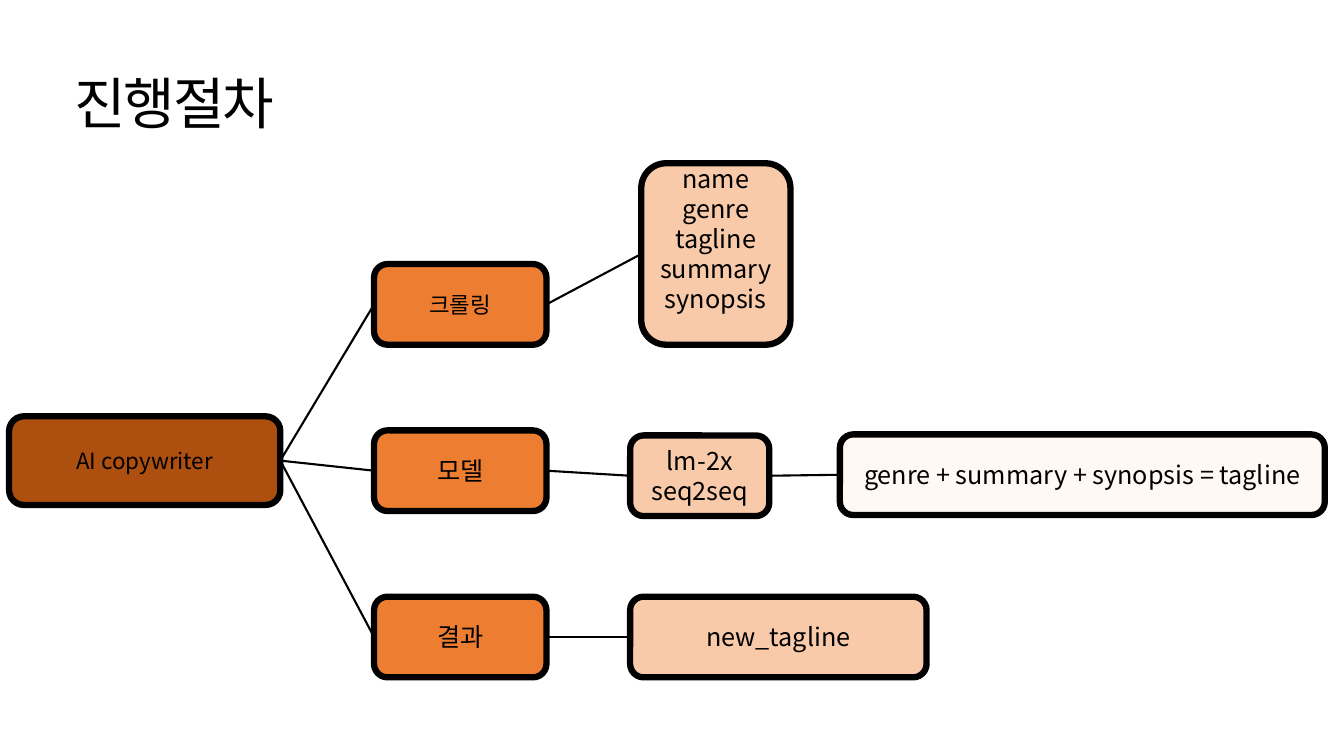
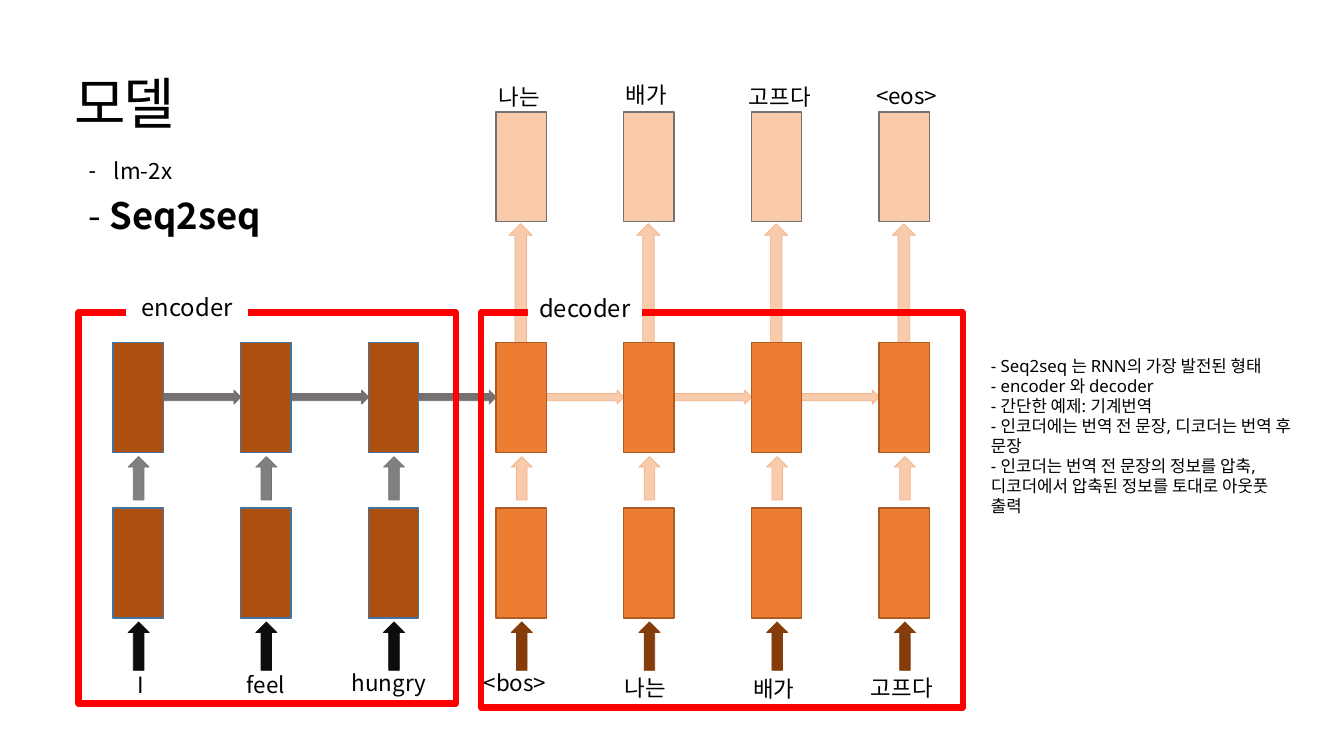
from lxml.etree import SubElement
from pptx import Presentation
from pptx.dml.color import RGBColor
from pptx.enum.shapes import MSO_CONNECTOR, MSO_SHAPE
from pptx.enum.text import MSO_ANCHOR, MSO_AUTO_SIZE, PP_ALIGN
from pptx.oxml.ns import qn
from pptx.util import Inches, Pt

HUES = {
    "black": "000000", "white": "FFFFFF", "red": "FF0000",
    "brown": "AD4F0F", "orange": "ED7D31", "peach": "F8CAAA", "cream": "FFF8F4",
    "blue": "43739E", "rust": "AF5C24", "grey": "767171", "mist": "808080",
    "ink": "0D0D0D", "umber": "843C0B", "skin": "F8CBAD", "tan": "F4B183",
}
RGB = {name: RGBColor.from_string(code) for name, code in HUES.items()}
SANS, CJK = "Noto Sans", "Noto Sans CJK KR"


def style(frame, size, font=CJK, align=PP_ALIGN.LEFT, lead=1.19):
    """Format all text in a frame; lead is the line pitch per point of size."""
    frame.word_wrap = True
    for para in frame.paragraphs:
        para.alignment = align
        para.line_spacing = Pt(round(size * lead, 1))
        for run in para.runs:
            run.font.size = Pt(size)
            run.font.name = font
            run.font.color.rgb = RGB["black"]
            SubElement(run.font._element, qn("a:ea"), typeface=CJK)


def draw(slide, kind, box, fill, line, width=1.0):
    shape = slide.shapes.add_shape(kind, *map(Inches, box))
    shape.shadow.inherit = False
    if fill:
        shape.fill.solid()
        shape.fill.fore_color.rgb = RGB[fill]
    else:
        shape.fill.background()
    shape.line.color.rgb = RGB[line]
    shape.line.width = Pt(width)
    return shape


deck = Presentation()
deck.slide_width, deck.slide_height = Inches(13.33), Inches(7.5)

# Both slides with their titles
slides = []
for layout, text, width in [(5, "진행절차", 11.5), (1, "모델", 4.53)]:
    slide = deck.slides.add_slide(deck.slide_layouts[layout])
    title = slide.shapes.title
    title.left, title.top = Inches(0.64), Inches(0.32)
    title.width, title.height = Inches(width), Inches(1.45)
    frame = title.text_frame
    frame.text = text
    frame.vertical_anchor = MSO_ANCHOR.MIDDLE
    style(frame, 40, SANS, lead=1.07)
    frame.paragraphs[0].runs[0].font._element.set("spc", "-150")
    slides.append(slide)
flow, model = slides

# Process tree
nodes = {
    "root": ("AI copywriter", (0.09, 4.13, 2.69, 0.88), "brown", 16),
    "crawl": ("크롤링", (3.71, 2.62, 1.71, 0.8), "orange", 16),
    "model": ("모델", (3.71, 4.27, 1.71, 0.8), "orange", 18),
    "result": ("결과", (3.71, 5.92, 1.71, 0.8), "orange", 18),
    "fields": ("name\ngenre\ntagline\nsummary\nsynopsis",
               (6.36, 1.62, 1.48, 1.8), "peach", 18),
    "nets": ("lm-2x\nseq2seq", (6.25, 4.32, 1.38, 0.8), "peach", 18),
    "output": ("new_tagline", (6.25, 5.92, 2.94, 0.8), "peach", 18),
    "rule": ("genre + summary + synopsis = tagline",
             (8.33, 4.31, 4.81, 0.8), "cream", 18),
}
boxes = {}
for name, (text, box, fill, size) in nodes.items():
    shape = draw(flow, MSO_SHAPE.ROUNDED_RECTANGLE, box, fill, "black", 4.5)
    shape.text_frame.text = text
    style(shape.text_frame, size, align=PP_ALIGN.CENTER)
    boxes[name] = shape
boxes["fields"].text_frame.margin_bottom = Inches(0.35)

LEFT, RIGHT = 1, 3
links = [("root", "crawl"), ("root", "model"), ("root", "result"),
         ("result", "output"), ("model", "nets"), ("crawl", "fields"),
         ("nets", "rule")]
for start, end in links:
    link = flow.shapes.add_connector(MSO_CONNECTOR.STRAIGHT, 0, 0, 0, 0)
    link.begin_connect(boxes[start], RIGHT)
    link.end_connect(boxes[end], LEFT)
    link.line.color.rgb = RGB["black"]
    link.line.width = Pt(1.5)
    SubElement(link._element.spPr, qn("a:effectLst"))

# Model list
body = model.placeholders[1]
body.left, body.top = Inches(0.78), Inches(1.54)
body.width, body.height = Inches(2.75), Inches(1.56)
frame = body.text_frame
frame.text = "lm-2x"
frame.auto_size = MSO_AUTO_SIZE.NONE
frame.vertical_anchor = MSO_ANCHOR.TOP
first, second = frame.paragraphs[0], frame.add_paragraph()
for text in ("- ", "Seq2seq"):
    second.add_run().text = text
style(frame, 16, lead=1.07)
second.line_spacing = Pt(27.8)
for run in second.runs:
    run.font.size = Pt(26)
second.runs[1].font.bold = True
first.space_before, second.space_before = Pt(0), Pt(10)
for para, indent, mark in [(first, 0.25, "-"), (second, 0, None)]:
    props = para._element.get_or_add_pPr()
    props.set("marL", str(Inches(indent)))
    props.set("indent", str(-Inches(indent)))
    if mark:
        SubElement(props, qn("a:buChar"), char=mark)
    else:
        SubElement(props, qn("a:buNone"))

# Network: three encoder columns, then four decoder columns
ENC = 3
cols = [1.12 + i * 7.6 / 6 for i in range(7)]

for i, x in enumerate(cols[:-1]):
    fill, line = ("grey", "grey") if i < ENC else ("skin", "tan")
    draw(model, MSO_SHAPE.RIGHT_ARROW, (x + 0.5, 3.87, 0.77, 0.14), fill, line, 0.5)
for x in cols[ENC:]:
    draw(model, MSO_SHAPE.UP_ARROW, (x + 0.13, 2.22, 0.23, 1.33), "skin", "tan", 0.5)

for i, x in enumerate(cols):
    coder = i < ENC
    cells = [(y, "brown", "blue") if coder else (y, "orange", "rust")
             for y in (3.4, 5.04)]
    if not coder:
        cells.append((1.11, "peach", "grey"))
    for y, fill, line in cells:
        draw(model, MSO_SHAPE.RECTANGLE, (x, y, 0.5, 1.09), fill, line)
    feed = ("ink", "ink") if coder else ("umber", "umber")
    climb = ("mist", "grey") if coder else ("skin", "tan")
    draw(model, MSO_SHAPE.UP_ARROW, (x + 0.15, 6.17, 0.21, 0.48), *feed, 0.5)
    draw(model, MSO_SHAPE.UP_ARROW, (x + 0.15, 4.53, 0.21, 0.43), *climb, 0.5)

words = [
    ("I", 1.27, 6.61), ("feel", 2.35, 6.61), ("hungry", 3.39, 6.59),
    ("<bos>", 4.7, 6.59), ("나는", 6.1, 6.64), ("배가", 7.37, 6.65),
    ("고프다", 8.54, 6.64), ("나는", 4.85, 0.78), ("배가", 6.11, 0.76),
    ("고프다", 7.33, 0.78), ("<eos>", 8.59, 0.77),
]
for text, x, y in words:
    label = model.shapes.add_textbox(Inches(x), Inches(y), Inches(1.42), Inches(0.37))
    label.text_frame.text = text
    style(label.text_frame, 16)

# Frames and their tags
parts = [("decoder", (4.77, 3.1, 4.78, 3.92), (5.24, 2.86, 1.12, 0.39)),
         ("encoder", (0.78, 3.1, 3.74, 3.88), (1.26, 2.85, 1.19, 0.39))]
for text, area, spot in parts:
    draw(model, MSO_SHAPE.RECTANGLE, area, None, "red", 4.5)
    tag = draw(model, MSO_SHAPE.RECTANGLE, spot, "white", "white")
    tag.text_frame.text = text
    style(tag.text_frame, 17, align=PP_ALIGN.CENTER)

# Remarks
remark = model.shapes.add_textbox(Inches(9.73), Inches(3.48), Inches(3.24), Inches(1.92))
remark.text_frame.text = "\n".join([
    "- Seq2seq 는 RNN의 가장 발전된 형태",
    "- encoder 와 decoder",
    "- 간단한 예제: 기계번역",
    "- 인코더에는 번역 전 문장, 디코더는 번역 후 문장",
    "- 인코더는 번역 전 문장의 정보를 압축, 디코더에서 압축된 정보를 토대로 아웃풋 출력",
])
style(remark.text_frame, 12, SANS)

deck.save("out.pptx")
